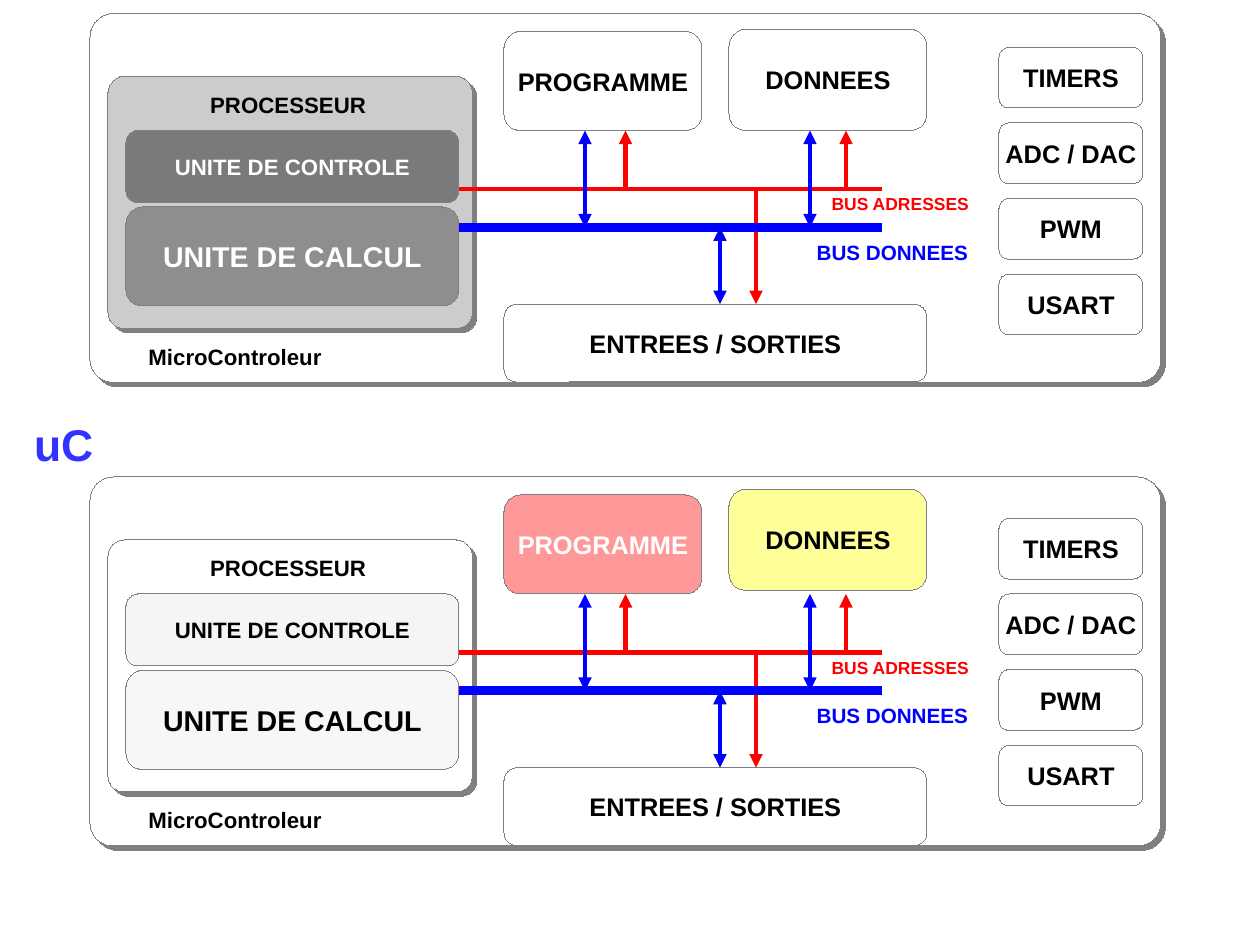
"""Draw two microcontroller block diagrams, one plain and one with coloured memories."""
from lxml.etree import SubElement
from pptx import Presentation
from pptx.dml.color import RGBColor
from pptx.enum.shapes import MSO_CONNECTOR as Connector, MSO_SHAPE as Shape
from pptx.enum.text import MSO_ANCHOR as Anchor, MSO_AUTO_SIZE as AutoSize, PP_ALIGN as Align
from pptx.oxml.ns import qn
from pptx.util import Cm, Pt

COLUMNS, ROWS = 28, 21
COLORS = {"white": "FFFFFF", "black": "000000", "grey": "808080", "silver": "CCCCCC",
          "pale": "E6E6E6", "red": "FF0000", "blue": "0000FF", "yellow": "FFFF00",
          "title": "3333FF"}

PANEL_STEP = 10.3
PANELS = [
    {"processor": "silver", "unit": "black", "unit text": "white", "program": "white",
     "program text": "black", "data": "white", "data shift": 0, "peripheral shift": 0},
    {"processor": "white", "unit": "pale", "unit text": "black", "program": "red",
     "program text": "white", "data": "yellow", "data shift": -0.08, "peripheral shift": 0.17},
]
CONTROLLER = (2, 0.3, 23.8, 8.2)
PROCESSOR = (2.4, 1.7, 8.1, 5.6)
PERIPHERALS = ["TIMERS", "ADC / DAC", "PWM", "USART"]
PERIPHERAL_LEFT, PERIPHERAL_TOP, PERIPHERAL_STEP = 22.2, 1.05, 1.68
PERIPHERAL_SIZE = (3.2, 1.35)

LABELS = [
    ("MicroControleur", (3.05, 7.5, 4.5, 0.81), 14, "black"),
    ("PROCESSEUR", (4.42, 1.9, 4.1, 0.81), 14, "black"),
    ("BUS DONNEES", (17.9, 5.2, 4, 0.76), 13, "blue"),
    ("BUS ADRESSES", (18.23, 4.17, 3.7, 0.69), 11, "red"),
]
TITLE = ("uC", (0.51, 9.15, 6.53, 2.46), 28, "title")

BUS_LEFT, BUS_RIGHT = 10.2, 19.6
ADDRESS_ROW, DATA_ROW = 4.2, 5.05
MEMORY_ROW, PORT_ROW = 2.9, 6.76
HAIRLINE, THIN, THICK = 0.01, 2.83, 5.67
ONE_WAY, TWO_WAY = ("tailEnd",), ("headEnd", "tailEnd")
WIRES = [
    ((BUS_RIGHT, ADDRESS_ROW), (BUS_LEFT, ADDRESS_ROW), "red", THIN, ()),
    ((16.8, ADDRESS_ROW), (16.8, PORT_ROW), "red", THIN, ONE_WAY),
    ((BUS_RIGHT, DATA_ROW), (BUS_LEFT, DATA_ROW), "blue", THICK, ()),
    ((18, MEMORY_ROW), (18, DATA_ROW), "blue", THIN, TWO_WAY),
    ((16, DATA_ROW), (16, PORT_ROW), "blue", THIN, TWO_WAY),
    ((13.9, ADDRESS_ROW), (13.9, MEMORY_ROW), "red", THIN, ONE_WAY),
    ((18.8, ADDRESS_ROW), (18.8, MEMORY_ROW), "red", THIN, ONE_WAY),
    ((13, MEMORY_ROW), (13, DATA_ROW), "blue", THIN, TWO_WAY),
]


def rgb(color):
    return RGBColor.from_string(COLORS[color])


def place(box, shift):
    left, top, width, height = box
    return Cm(left), Cm(top + shift), Cm(width), Cm(height)


def write(shape, text, size, color, **frame_format):
    frame = shape.text_frame
    for name, value in {"word_wrap": False, **frame_format}.items():
        setattr(frame, name, value)
    run = frame.paragraphs[0].add_run()
    run.text = text
    for name, value in {"name": "Arial", "size": Pt(size), "bold": True}.items():
        setattr(run.font, name, value)
    run.font.color.rgb = rgb(color)


def add_block(slide, box, shift, fill):
    shape = slide.shapes.add_shape(Shape.ROUNDED_RECTANGLE, *place(box, shift))
    shape.shadow.inherit = False
    shape.fill.solid()
    shape.fill.fore_color.rgb = rgb(fill)
    shape.line.color.rgb = rgb("grey")
    shape.line.width = Pt(HAIRLINE)
    return shape


def add_frame(slide, box, shift, fill):
    shape = add_block(slide, box, shift, fill)
    shape.adjustments[0] = 0.064
    effects = shape._element.spPr.find(qn("a:effectLst"))
    shadow = SubElement(effects, qn("a:outerShdw"), dist=str(Pt(4)), dir="2700000",
                        algn="tl", rotWithShape="0")
    SubElement(shadow, qn("a:srgbClr"), val=COLORS["grey"])


def add_part(slide, box, shift, text, fill="white", color="black", size=16, opacity=40):
    shape = add_block(slide, box, shift, fill)
    fill_color = shape._element.spPr.find(qn("a:solidFill"))[0]
    SubElement(fill_color, qn("a:alpha"), val=str(opacity * 1000))
    write(shape, text, size, color, vertical_anchor=Anchor.MIDDLE)
    shape.text_frame.paragraphs[0].alignment = Align.CENTER


def add_label(slide, label, shift=0):
    text, box, size, color = label
    textbox = slide.shapes.add_textbox(*place(box, shift))
    write(textbox, text, size, color, auto_size=AutoSize.SHAPE_TO_FIT_TEXT)


def add_wire(slide, start, end, color, width, arrowheads, shift):
    (start_x, start_y), (end_x, end_y) = start, end
    wire = slide.shapes.add_connector(Connector.STRAIGHT, Cm(start_x), Cm(start_y + shift),
                                      Cm(end_x), Cm(end_y + shift))
    wire.line.color.rgb = rgb(color)
    wire.line.width = Pt(width)
    for arrowhead in arrowheads:
        SubElement(wire.line._get_or_add_ln(), qn(f"a:{arrowhead}"), type="triangle")
    SubElement(wire._element.spPr, qn("a:effectLst"))


def add_panel(slide, panel, shift):
    add_frame(slide, CONTROLLER, shift, "white")
    add_part(slide, (11.2, 0.7, 4.4, 2.2), shift, "PROGRAMME",
             panel["program"], panel["program text"])
    add_part(slide, (11.2, PORT_ROW, 9.4, 1.73), shift, "ENTREES / SORTIES")
    add_part(slide, (16.2, 0.65, 4.4, 2.25), shift + panel["data shift"], "DONNEES", panel["data"])
    add_frame(slide, PROCESSOR, shift, panel["processor"])
    unit_colors = panel["unit"], panel["unit text"]
    add_part(slide, (2.8, 4.6, 7.4, 2.2), shift, "UNITE DE CALCUL", *unit_colors, 18, 30)
    add_part(slide, (2.8, 2.9, 7.4, 1.6), shift, "UNITE DE CONTROLE", *unit_colors, 14)
    for wire in WIRES:
        add_wire(slide, *wire, shift)
    for label in LABELS:
        add_label(slide, label, shift)
    for row, name in enumerate(PERIPHERALS):
        top = PERIPHERAL_TOP + row * PERIPHERAL_STEP
        add_part(slide, (PERIPHERAL_LEFT, top, *PERIPHERAL_SIZE),
                 shift + panel["peripheral shift"], name)


def main():
    presentation = Presentation()
    presentation.slide_width, presentation.slide_height = Cm(COLUMNS), Cm(ROWS)
    slide = presentation.slides.add_slide(presentation.slide_layouts[6])
    for index, panel in enumerate(PANELS):
        add_panel(slide, panel, index * PANEL_STEP)
    add_label(slide, TITLE)
    presentation.save("out.pptx")


if __name__ == "__main__":
    main()
